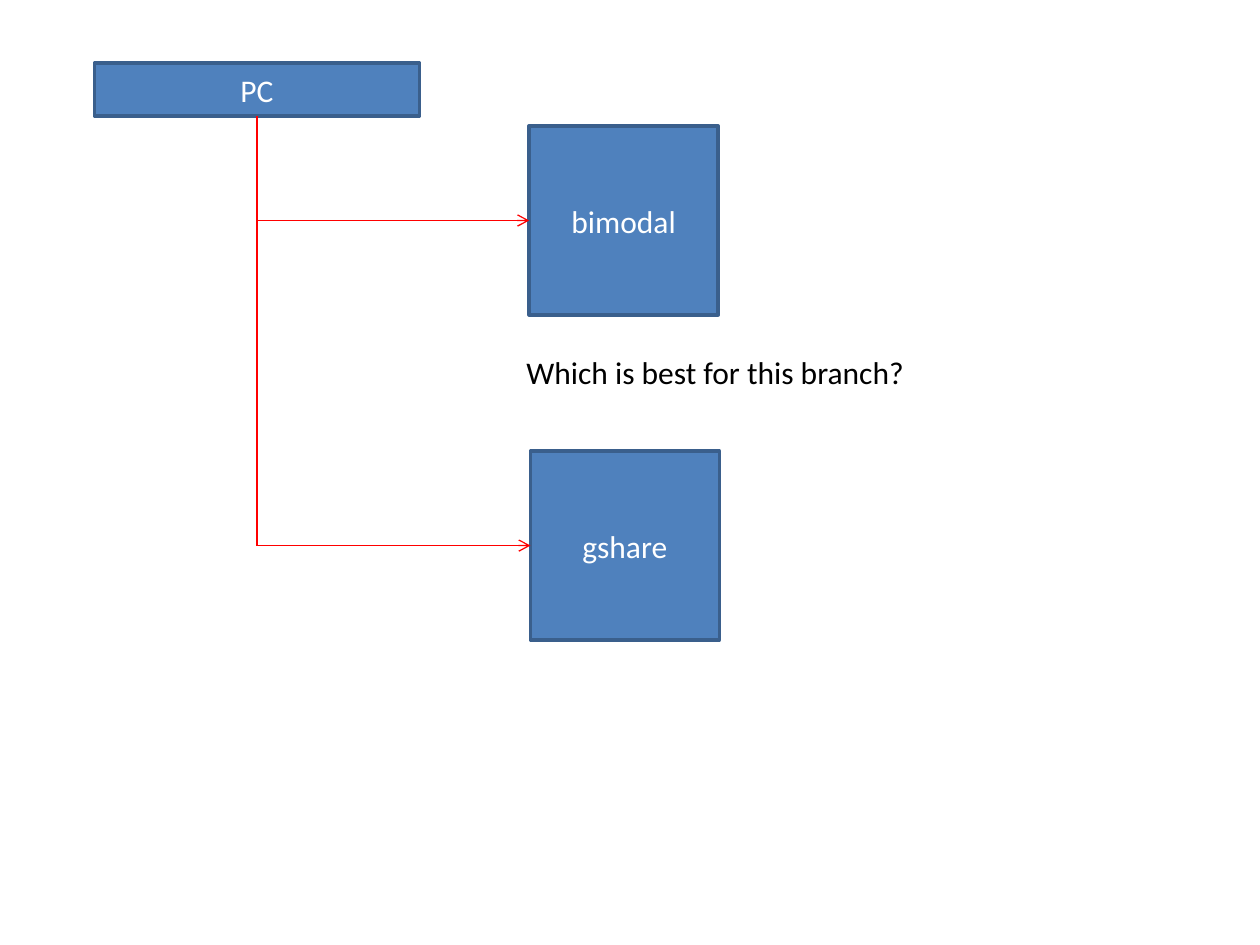
"""Build the slide that asks which branch predictor suits a branch."""
import lxml.etree
import pptx
import pptx.dml.color
import pptx.enum.shapes
import pptx.enum.text
import pptx.oxml.ns
import pptx.util
from pptx.util import Inches

COLORS = {"fill": "4F81BD", "edge": "3A5F8C", "wire": "FF0000",
          "light": "FFFFFF", "dark": "000000"}


class Diagram:
    """Hold the style and the current slide."""

    font_name = "Calibri"
    font_size = pptx.util.Pt(18)
    edge_width = pptx.util.Pt(2)
    wire_width = pptx.util.Pt(0.75)

    def __init__(self, slide):
        self.slide = slide

    def color(self, name):
        return pptx.dml.color.RGBColor.from_string(COLORS[name])

    def set_text(self, frame, text, color, align):
        para = frame.paragraphs[0]
        para.text = text
        para.alignment = align
        para.font.name = self.font_name
        para.font.size = self.font_size
        para.font.color.rgb = self.color(color)

    def block(self, text, left, top, width, height):
        box = self.slide.shapes.add_shape(
            pptx.enum.shapes.MSO_SHAPE.RECTANGLE, left, top, width, height)
        box.shadow.inherit = False
        box.fill.solid()
        box.fill.fore_color.rgb = self.color("fill")
        box.line.color.rgb = self.color("edge")
        box.line.width = self.edge_width
        box.text_frame.vertical_anchor = pptx.enum.text.MSO_ANCHOR.MIDDLE
        self.set_text(box.text_frame, text, "light", pptx.enum.text.PP_ALIGN.CENTER)
        return box

    def label(self, text, left, top, width, height):
        box = self.slide.shapes.add_textbox(left, top, width, height)
        box.text_frame.word_wrap = False
        box.text_frame.auto_size = pptx.enum.text.MSO_AUTO_SIZE.SHAPE_TO_FIT_TEXT
        self.set_text(box.text_frame, text, "dark", pptx.enum.text.PP_ALIGN.LEFT)

    def wire(self, start, end, arrow=False):
        line = self.slide.shapes.add_connector(
            pptx.enum.shapes.MSO_CONNECTOR.STRAIGHT, *start, *end)
        line.line.color.rgb = self.color("wire")
        line.line.width = self.wire_width
        properties = line.element.spPr
        lxml.etree.SubElement(properties, pptx.oxml.ns.qn("a:effectLst"))
        if arrow:
            stroke = properties.find(pptx.oxml.ns.qn("a:ln"))
            tail = lxml.etree.SubElement(stroke, pptx.oxml.ns.qn("a:tailEnd"))
            tail.set("type", "arrow")
        return line


def main():
    deck = pptx.Presentation()
    deck.slide_width, deck.slide_height = Inches(10), Inches(7.5)
    diagram = Diagram(deck.slides.add_slide(deck.slide_layouts[6]))

    side = Inches(1.5)
    bimodal = diagram.block("bimodal", Inches(4.2), Inches(1), side, side)
    gshare = diagram.block("gshare", Inches(4.21), Inches(3.58), side, side)
    diagram.label("Which is best for this branch?",
                  Inches(4.08), Inches(2.75), Inches(3.24), Inches(0.4))
    counter = diagram.block("PC", Inches(0.75), Inches(0.5), Inches(2.58), Inches(0.42))

    trunk_x = counter.left + counter.width // 2
    trunk_top = counter.top + counter.height
    trunk_bottom = gshare.top + side // 2
    trunk = diagram.wire((trunk_x, trunk_top), (trunk_x, trunk_bottom))
    trunk.begin_connect(counter, 2)
    for predictor in (gshare, bimodal):
        middle = predictor.top + side // 2
        branch = diagram.wire((trunk_x, middle), (predictor.left, middle), arrow=True)
        branch.end_connect(predictor, 1)

    deck.save("out.pptx")


if __name__ == "__main__":
    main()
